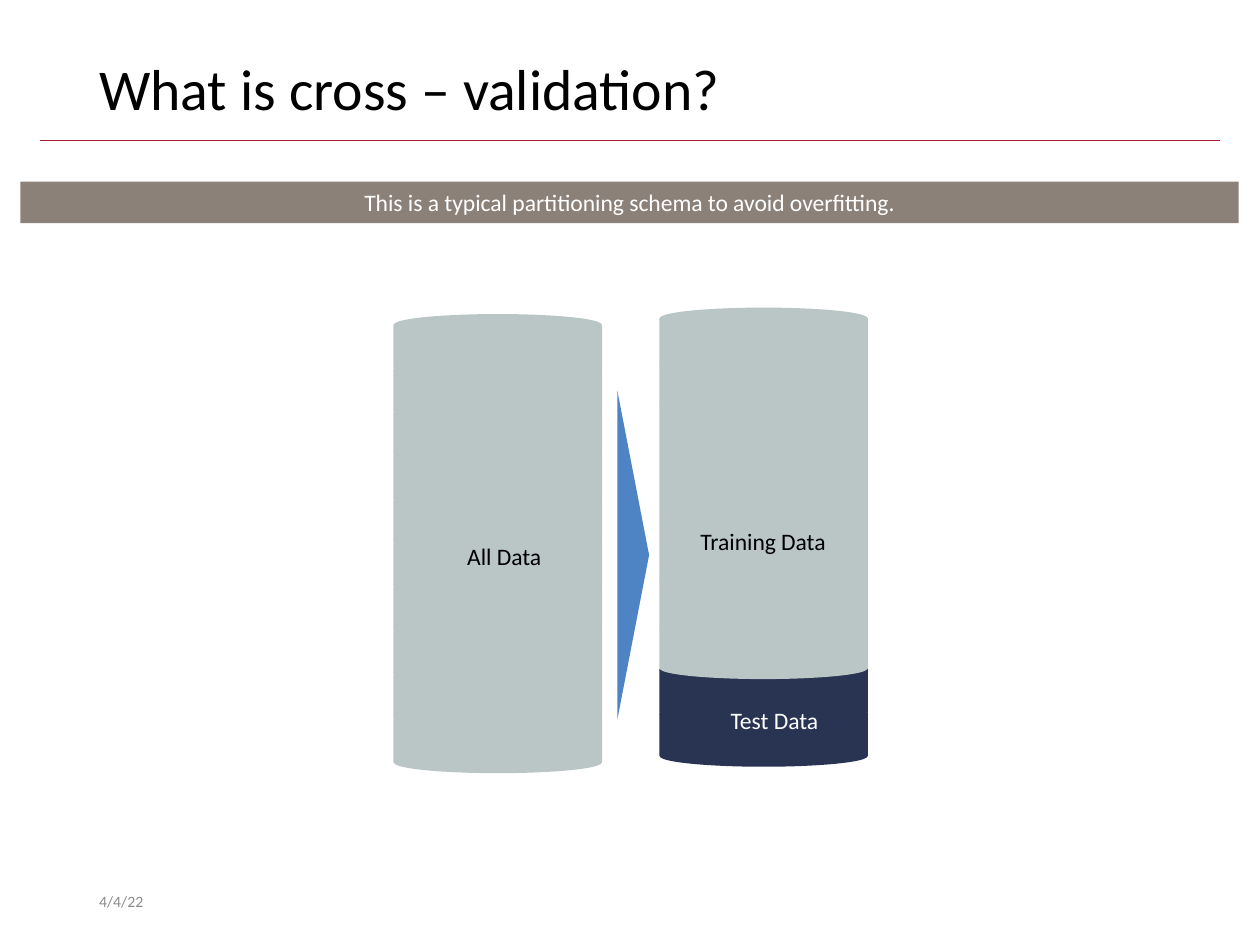
from lxml import etree
from pptx import Presentation
from pptx import util as u
from pptx.dml import color
from pptx.enum import shapes, text
from pptx.oxml import ns

THEME = {
    "font": "Calibri",
    "black": "000000", "white": "FFFFFF", "grey": "8C8C8C",
    "rule": "A51C30", "banner": "8C8179", "arrow": "4E84C4",
    "training": "BAC5C6", "test": "293352",
    "title_size": 33, "body_size": 13.5, "date_size": 9,
}

TITLE = ("What is cross – validation?", (1.75, 1.02, 21.9, 1.65), "title_size", "black")
DATE = ("4/4/22", (1.75, 17.65, 5.72, 1.02), "date_size", "grey")
BANNER = ("This is a typical partitioning schema to avoid overfitting.", (0.41, 3.66, 24.56, 0.84))
RULE = (0.81, 2.84, 24.59, 2.84)
ARROW = (9.45, 10.87, 6.63, 0.64)

DISK_WIDTH, DISK_HEIGHT = 4.17, 1.27
STACK_RISE = 7.95
COLUMNS = [
    {"left": 7.95, "bottom": 14.3, "disks": ["training"] * 10},
    {"left": 13.31, "bottom": 14.17, "disks": ["test"] * 2 + ["training"] * 8},
]
LABELS = [
    ("All Data", (9.17, 10.8, 2.03, 0.84), "black"),
    ("Training Data", (13.87, 10.49, 3.07, 0.84), "black"),
    ("Test Data", (14.48, 14.1, 2.31, 0.84), "white"),
]


def cm(lengths):
    return [u.Cm(length) for length in lengths]


def rgb(name):
    return color.RGBColor.from_string(THEME[name])


def apply(target, values):
    for key, value in values.items():
        setattr(target, key, value)


def write(holder, words, size, ink, frame_format, paragraph_format):
    frame = holder.text_frame
    apply(frame, frame_format)
    paragraph = frame.paragraphs[0]
    apply(paragraph, paragraph_format)
    run = paragraph.add_run()
    run.text = words
    apply(run.font, {"name": THEME["font"], "size": u.Pt(THEME[size])})
    run.font.color.rgb = rgb(ink)


def add_block(slide, preset, box, fill, outlined=False):
    block = slide.shapes.add_shape(preset, *cm(box))
    block.shadow.inherit = False
    block.fill.solid()
    block.fill.fore_color.rgb = rgb(fill)
    if outlined:
        block.line.color.rgb = rgb(fill)
        block.line.width = u.Pt(1)
    else:
        block.line.fill.background()
    return block


def add_rule(slide):
    rule = slide.shapes.add_connector(shapes.MSO_CONNECTOR.STRAIGHT, *cm(RULE))
    rule.line.color.rgb = rgb("rule")
    rule.line.width = u.Pt(0.5)
    etree.SubElement(rule._element.spPr, ns.qn("a:effectLst"))


def add_column(slide, left, bottom, disks):
    pitch = STACK_RISE / (len(disks) - 1)
    for level, fill in enumerate(disks):
        box = (left, bottom - level * pitch, DISK_WIDTH, DISK_HEIGHT)
        add_block(slide, shapes.MSO_SHAPE.FLOWCHART_MAGNETIC_DISK, box, fill, outlined=True)


def main():
    deck = Presentation()
    apply(deck, {"slide_width": u.Cm(25.4), "slide_height": u.Cm(19.05)})
    slide = deck.slides.add_slide(deck.slide_layouts[6])

    middle = {"word_wrap": True, "vertical_anchor": text.MSO_ANCHOR.MIDDLE}
    fitted = {"auto_size": text.MSO_AUTO_SIZE.SHAPE_TO_FIT_TEXT,
              "vertical_anchor": text.MSO_ANCHOR.TOP}

    add_rule(slide)
    for (words, box, size, ink), spacing in ((TITLE, {"line_spacing": 0.9}), (DATE, {})):
        write(slide.shapes.add_textbox(*cm(box)), words, size, ink, middle, spacing)

    for column in COLUMNS:
        add_column(slide, **column)
    arrow = add_block(slide, shapes.MSO_SHAPE.ISOSCELES_TRIANGLE, ARROW, "arrow")
    arrow.rotation = 90

    for words, box, ink in LABELS:
        write(slide.shapes.add_textbox(*cm(box)), words, "body_size", ink,
              {**fitted, "word_wrap": False}, {})

    words, box = BANNER
    banner = add_block(slide, shapes.MSO_SHAPE.RECTANGLE, box, "banner")
    write(banner, words, "body_size", "white", {**fitted, "word_wrap": True},
          {"alignment": text.PP_ALIGN.CENTER})

    deck.save("out.pptx")


if __name__ == "__main__":
    main()
